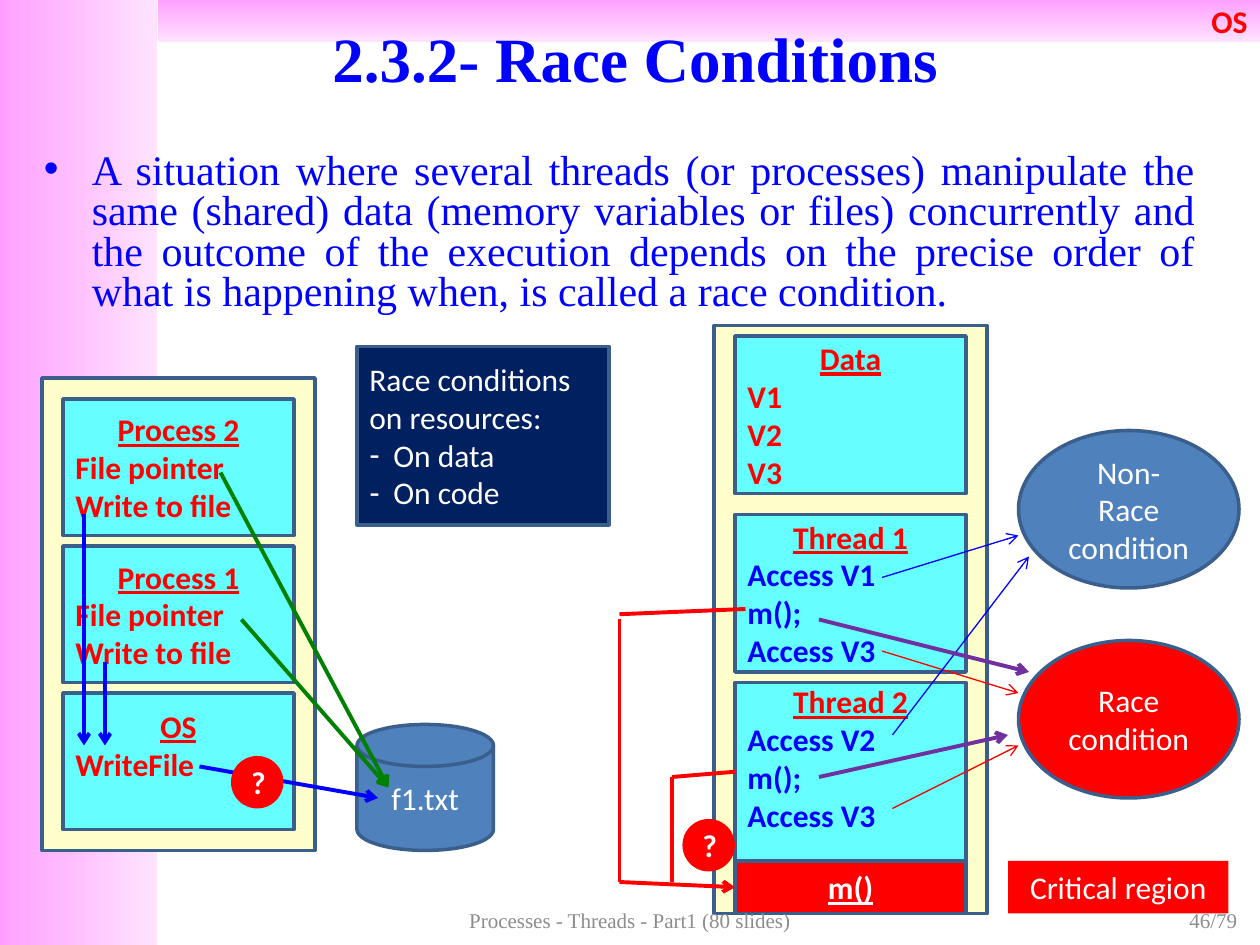
from lxml import etree
from pptx import Presentation, util as u
from pptx.dml.color import RGBColor
from pptx.enum import shapes, text
from pptx.oxml import ns

CELL = u.Inches(1) / 12
BLUE = RGBColor(0x00, 0x00, 0xFF)
RED = RGBColor(0xFF, 0x00, 0x00)
GREEN = RGBColor(0x00, 0x80, 0x00)
PURPLE = RGBColor(0x70, 0x30, 0xA0)
WHITE = RGBColor(0xFF, 0xFF, 0xFF)
CREAM = RGBColor(0xFF, 0xFF, 0xCC)
CYAN = RGBColor(0x66, 0xFF, 0xFF)
NAVY = RGBColor(0x00, 0x20, 0x60)
STEEL = RGBColor(0x4F, 0x81, 0xBD)
EDGE = RGBColor(0x3A, 0x5F, 0x8C)
GRAY = RGBColor(0x8C, 0x8C, 0x8C)
PINK = RGBColor(0xFF, 0xA0, 0xFF)
PALE_PINK = RGBColor(0xFF, 0xE3, 0xFF)

SHAPE = shapes.MSO_SHAPE
ALIGN = text.PP_ALIGN
ANCHOR = text.MSO_ANCHOR
SERIF = "Times New Roman"


def cells(*values):
    return [round(value * CELL) for value in values]


def style(paragraph, color, size=18, bold=False, align=ALIGN.LEFT, name="Calibri", underline=False):
    paragraph.alignment = align
    for run in paragraph.runs:
        font = run.font
        font.name, font.size, font.bold = name, u.Pt(size), bold
        font.underline = underline
        font.color.rgb = color


def add_bullet(paragraph, character, indent):
    properties = paragraph._p.get_or_add_pPr()
    properties.set("marL", str(u.Inches(indent)))
    properties.set("indent", str(-u.Inches(indent)))
    etree.SubElement(properties, ns.qn("a:buFont")).set("typeface", "Arial")
    etree.SubElement(properties, ns.qn("a:buChar")).set("char", character)


def add_block(slide, box, fill, words="", kind=SHAPE.RECTANGLE, edge=EDGE, color=WHITE,
              bold=False, align=ALIGN.CENTER):
    shape = slide.shapes.add_shape(kind, *cells(*box))
    shape.shadow.inherit = False
    shape.fill.solid()
    shape.fill.fore_color.rgb = fill
    if edge is None:
        shape.line.fill.background()
    else:
        shape.line.color.rgb = edge
        shape.line.width = u.Pt(2)
    frame = shape.text_frame
    frame.text = words
    frame.word_wrap = True
    frame.vertical_anchor = ANCHOR.MIDDLE
    for paragraph in frame.paragraphs:
        style(paragraph, color, bold=bold, align=align)
    return shape


def add_card(slide, box, words, color=RED, top_margin=None):
    frame = add_block(slide, box, CYAN, words, color=color, bold=True, align=ALIGN.LEFT).text_frame
    style(frame.paragraphs[0], RED, bold=True, align=ALIGN.CENTER, underline=True)
    if top_margin is not None:
        frame.vertical_anchor = ANCHOR.TOP
        frame.margin_top = u.Inches(top_margin)


def add_question(slide, left, top):
    add_block(slide, (left, top, 5, 5), RED, "?", SHAPE.OVAL, None, bold=True)


def add_line(slide, left, top, points, color, width=2.25, arrow=True):
    x1, y1, x2, y2 = points
    ends = cells(left + x1, top + y1, left + x2, top + y2)
    line = slide.shapes.add_connector(shapes.MSO_CONNECTOR.STRAIGHT, *ends)
    line.line.color.rgb = color
    line.line.width = u.Pt(width)
    if arrow:
        etree.SubElement(line.line._get_or_add_ln(), ns.qn("a:tailEnd")).set("type", "arrow")
    etree.SubElement(line._element.spPr, ns.qn("a:effectLst"))


def add_text(slide, box, words, color, size, align):
    frame = slide.shapes.add_textbox(*cells(*box)).text_frame
    frame.word_wrap = True
    frame.text = words
    style(frame.paragraphs[0], color, size, align=align, name=SERIF)
    return frame


def draw_frame(slide):
    for box, angle, words in (((0, 0, 15, 90), 0, ""), ((15, 0, 105, 4), 270, "OS")):
        band = add_block(slide, box, PINK, words, edge=None, color=RED, bold=True, align=ALIGN.RIGHT)
        band.fill.gradient()
        band.fill.gradient_angle = angle
        for stop, color in zip(band.fill.gradient_stops, (PINK, PALE_PINK)):
            stop.color.rgb = color
        first, last = band.fill.gradient_stops
        first.position, last.position = 0, 1


def draw_heading(slide, box):
    title = slide.shapes.title
    title.left, title.top, title.width, title.height = cells(*box)
    title.text_frame.text = "2.3.2- Race Conditions"
    title.text_frame.vertical_anchor = ANCHOR.MIDDLE
    style(title.text_frame.paragraphs[0], BLUE, 36, True, ALIGN.CENTER, SERIF)


def draw_definition(slide, box):
    frame = add_text(
        slide, box,
        "A situation where several threads (or processes) manipulate the same (shared) data "
        "(memory variables or files) concurrently and the outcome of the execution depends on "
        "the precise order of what is happening when, is called a race condition.",
        BLUE, 24, ALIGN.JUSTIFY)
    paragraph = frame.paragraphs[0]
    add_bullet(paragraph, "•", 0.38)
    paragraph.line_spacing = 0.8


def draw_processes(slide, left, top):
    add_block(slide, (left, top, 26, 45), CREAM)
    cards = (("Process 2\nFile pointer\nWrite to file", None),
             ("Process 1\nFile pointer\nWrite to file", None),
             ("OS\nWriteFile", 0.11))
    for row, (words, margin) in enumerate(cards):
        add_card(slide, (left + 2, top + 2 + 14 * row, 22, 13), words, top_margin=margin)
    add_block(slide, (left + 30, top + 33, 13, 12), STEEL, "f1.txt", SHAPE.FLOWCHART_MAGNETIC_DISK)
    for start in ((17, 9), (19, 23)):
        add_line(slide, left, top, (*start, 33, 39), GREEN)
    for points in ((4, 13, 4, 35), (6, 27, 6, 35), (15, 37, 32, 40)):
        add_line(slide, left, top, points, BLUE)
    add_question(slide, left + 18, top + 36)


def draw_threads(slide, left, top):
    add_block(slide, (left, top, 26, 56), CREAM)
    cards = ((1, 15, "Data\nV1\nV2\nV3", RED, None),
             (18, 15, "Thread 1\nAccess V1\nm();\nAccess V3", BLUE, None),
             (34, 17, "Thread 2\nAccess V2\nm();\nAccess V3", BLUE, 0))
    for row, height, words, color, margin in cards:
        add_card(slide, (left + 2, top + row, 22, height), words, color, margin)
    method = add_block(slide, (left + 2, top + 51, 22, 5), RED, "m()", bold=True)
    style(method.text_frame.paragraphs[0], WHITE, bold=True, align=ALIGN.CENTER, underline=True)

    outcomes = ((10, STEEL, "Non-\nRace\ncondition"), (30, RED, "Race\ncondition"))
    for row, fill, words in outcomes:
        add_block(slide, (left + 29, top + row, 21, 15), fill, words, SHAPE.OVAL)
    accesses = ((16, 31, 29, 35, RED, 0.75), (17, 46, 29, 40, RED, 0.75),
                (16, 24, 29, 20, BLUE, 0.75), (17, 39, 30, 22, BLUE, 0.75),
                (10, 43, 28, 39, PURPLE, 2.25), (10, 28, 30, 33, PURPLE, 2.25))
    for *points, color, width in accesses:
        add_line(slide, left, top, points, color, width)
    add_block(slide, (left + 28, top + 51, 21, 5), RED, "Critical region", edge=None)

    add_line(slide, left, top, (-9, 53, 2, 53.5), RED)
    calls = ((-4, 53, -4, 43), (-4, 43, 2, 42.5), (-9, 53, -9, 28), (-9, 27.5, 3, 27))
    for points in calls:
        add_line(slide, left, top, points, RED, arrow=False)
    add_question(slide, left - 3, top + 47)


def draw_resources(slide, box):
    words = "Race conditions on resources:\nOn data\nOn code"
    note = add_block(slide, box, NAVY, words, align=ALIGN.LEFT)
    for paragraph in note.text_frame.paragraphs[1:]:
        add_bullet(paragraph, "-", 0.19)


def draw_footer(slide, top, height):
    labels = ((91, 28, "46/79", ALIGN.RIGHT),
              (41, 38, "Processes - Threads - Part1 (80 slides)", ALIGN.CENTER))
    for left, width, words, align in labels:
        frame = add_text(slide, (left, top, width, height), words, GRAY, 12, align)
        frame.vertical_anchor = ANCHOR.MIDDLE


def main():
    presentation = Presentation()
    presentation.slide_width, presentation.slide_height = u.Inches(10), u.Inches(7.5)
    slide = presentation.slides.add_slide(presentation.slide_layouts[5])
    draw_frame(slide)
    title = slide.shapes.title._element
    title.getparent().append(title)
    draw_heading(slide, (8, 0, 105, 11))
    draw_definition(slide, (3, 14, 112, 17))
    draw_processes(slide, 4, 36)
    draw_threads(slide, 68, 31)
    draw_resources(slide, (34, 33, 24, 17))
    draw_footer(slide, 86, 3.25)
    presentation.save("out.pptx")


if __name__ == "__main__":
    main()
